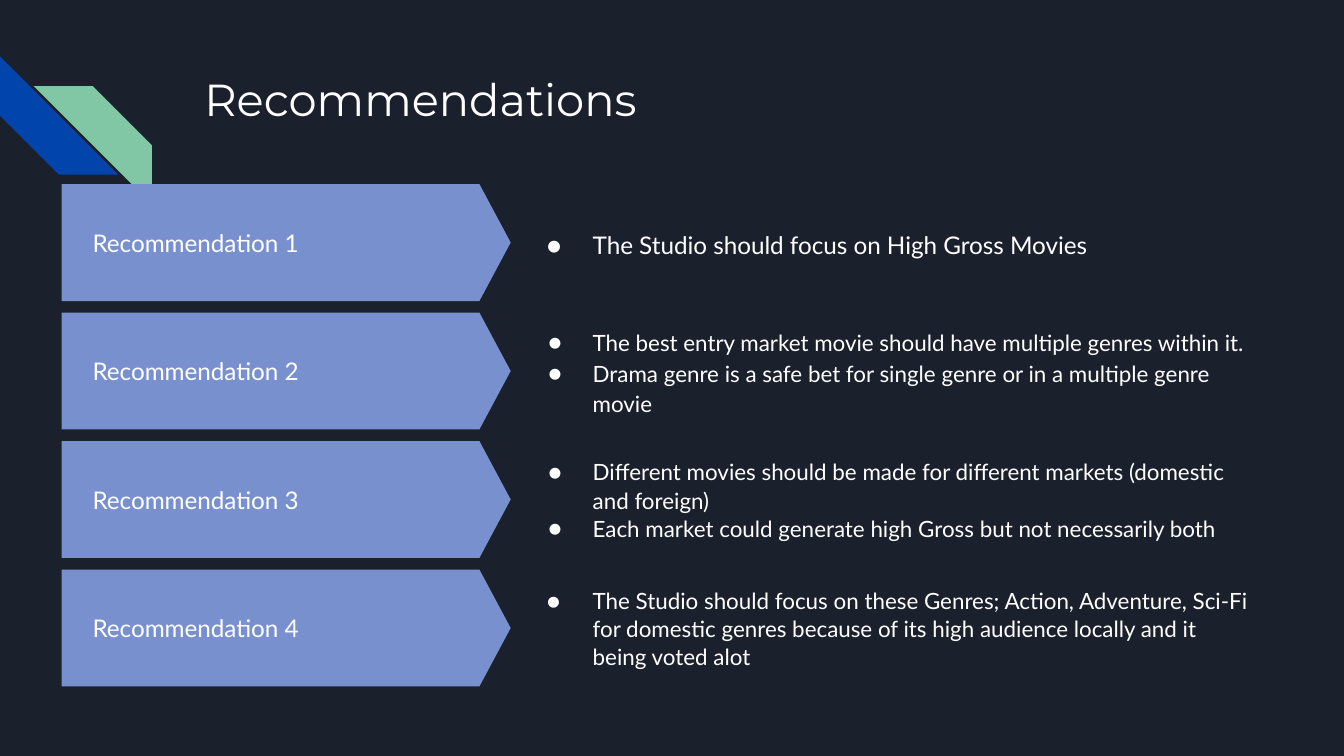
from dataclasses import dataclass
from typing import NamedTuple

from pptx import Presentation
from pptx import util as u
from pptx.dml import color
from pptx.enum import shapes, text
from pptx.oxml import ns, xmlchemy

COLORS = {
    "background": "1B212C",
    "blue": "0145AC",
    "green": "82C7A5",
    "arrow": "7890CD",
    "text": "FFFFFF",
}
WIDTH, HEIGHT = u.Inches(10), u.Inches(10 * 9 / 16)
COLUMNS = 100
CELL = WIDTH / COLUMNS
FIRST_ROW, ROW_STEP, ROW_HEIGHT = 13.7, 9.56, 8.7


class Area(NamedTuple):
    column: float
    row: float
    columns: float
    rows: float


@dataclass
class Recommendation:
    label: str
    points: list[str]
    size: int = 12
    spacing: float = 1.05
    hanging: float = 3.3


RECOMMENDATIONS = [
    Recommendation(
        "Recommendation 1",
        ["The Studio should focus on High Gross Movies"],
        size=13, spacing=1.15, hanging=3.4,
    ),
    Recommendation(
        "Recommendation 2",
        [
            "The best entry market movie should have multiple genres within it.",
            "Drama genre is a safe bet for single genre or in a multiple genre movie",
        ],
        spacing=1.15,
    ),
    Recommendation(
        "Recommendation 3",
        [
            "Different movies should be made for different markets (domestic and foreign)",
            "Each market could generate high Gross but not necessarily both",
        ],
    ),
    Recommendation(
        "Recommendation 4",
        [
            "The Studio should focus on these Genres; Action, Adventure, Sci-Fi for "
            "domestic genres because of its high audience locally and it being voted alot"
        ],
        hanging=3.4,
    ),
]


def cells(count: float) -> int:
    return round(count * CELL)


def rgb(name: str) -> color.RGBColor:
    return color.RGBColor.from_string(COLORS[name])


def apply(target, values: dict) -> None:
    for name, value in values.items():
        setattr(target, name, value)


def place(box, area: Area) -> None:
    names = ("left", "top", "width", "height")
    apply(box, dict(zip(names, map(cells, area))))


def draw_shape(page, kind, area: Area, fill: str, adjustment: float | None = None):
    shape = page.shapes.add_shape(kind, *map(cells, area))
    shape.shadow.inherit = False
    shape.fill.solid()
    shape.fill.fore_color.rgb = rgb(fill)
    shape.line.fill.background()
    if adjustment is not None:
        shape.adjustments[0] = adjustment
    return shape


def write(box, lines: list[str], size: int, font: str = "Lato",
          anchor=text.MSO_ANCHOR.MIDDLE, spacing: float = 1.0) -> None:
    frame = box.text_frame
    inset = cells(1)
    apply(frame, {
        "text": "\n".join(lines),
        "word_wrap": True,
        "auto_size": text.MSO_AUTO_SIZE.NONE,
        "vertical_anchor": anchor,
        "margin_left": inset,
        "margin_right": inset,
        "margin_top": inset,
        "margin_bottom": inset,
    })
    for para in frame.paragraphs:
        apply(para, {
            "alignment": text.PP_ALIGN.LEFT,
            "line_spacing": spacing,
            "space_before": u.Pt(0),
            "space_after": u.Pt(0),
        })
        for span in para.runs:
            apply(span.font, {"name": font, "size": u.Pt(size), "bold": False})
            span.font.color.rgb = rgb("text")


def add_bullets(box, hanging: float) -> None:
    for para in box.text_frame.paragraphs:
        properties = para._p.get_or_add_pPr()
        properties.set("marL", str(cells(5)))
        properties.set("indent", str(-cells(hanging)))
        bullet_color = xmlchemy.OxmlElement("a:buClr")
        bullet_rgb = xmlchemy.OxmlElement("a:srgbClr")
        bullet_rgb.set("val", COLORS["text"])
        bullet_color.append(bullet_rgb)
        bullet_font = xmlchemy.OxmlElement("a:buFont")
        bullet_font.set("typeface", "Lato")
        bullet = xmlchemy.OxmlElement("a:buChar")
        bullet.set("char", "●")
        properties.extend([bullet_color, bullet_font, bullet])


def draw_stripes(page) -> None:
    stripe = shapes.MSO_SHAPE.DIAGONAL_STRIPE
    blue = draw_shape(page, stripe, Area(0, 4.2, 8.8, 8.8), "blue", 0.5)
    blue.rotation = 270
    green = draw_shape(page, stripe, Area(2.5, 6.4, 8.8, 8.8), "green", 0.5)
    green.element.spPr.find(ns.qn("a:xfrm")).set("flipH", "1")


def draw_recommendation(page, index: int, item: Recommendation, body) -> None:
    row = FIRST_ROW + index * ROW_STEP
    draw_shape(page, shapes.MSO_SHAPE.RECTANGLE,
               Area(32, row, 63.3, ROW_HEIGHT), "background")
    draw_shape(page, shapes.MSO_SHAPE.PENTAGON,
               Area(4.6, row, 33.4, ROW_HEIGHT), "arrow", 0.267)
    label = page.shapes.add_textbox(*map(cells, Area(5.9, row, 26.5, ROW_HEIGHT)))
    write(label, [item.label], 13)
    place(body, Area(38.1, row, 55.9, ROW_HEIGHT))
    write(body, item.points, item.size, spacing=item.spacing)
    add_bullets(body, item.hanging)
    page.shapes.element.append(body.element)


def main() -> None:
    deck = Presentation()
    apply(deck, {"slide_width": WIDTH, "slide_height": HEIGHT})
    page = deck.slides.add_slide(deck.slide_layouts.get_by_name("Comparison"))
    page.background.fill.solid()
    page.background.fill.fore_color.rgb = rgb("background")
    title, *bodies = page.placeholders
    draw_stripes(page)
    place(title, Area(14.2, 4.3, 77, 10))
    write(title, ["Recommendations"], 24, "Montserrat", text.MSO_ANCHOR.TOP)
    for index, (item, body) in enumerate(zip(RECOMMENDATIONS, bodies)):
        draw_recommendation(page, index, item, body)
    deck.save("out.pptx")


if __name__ == "__main__":
    main()
